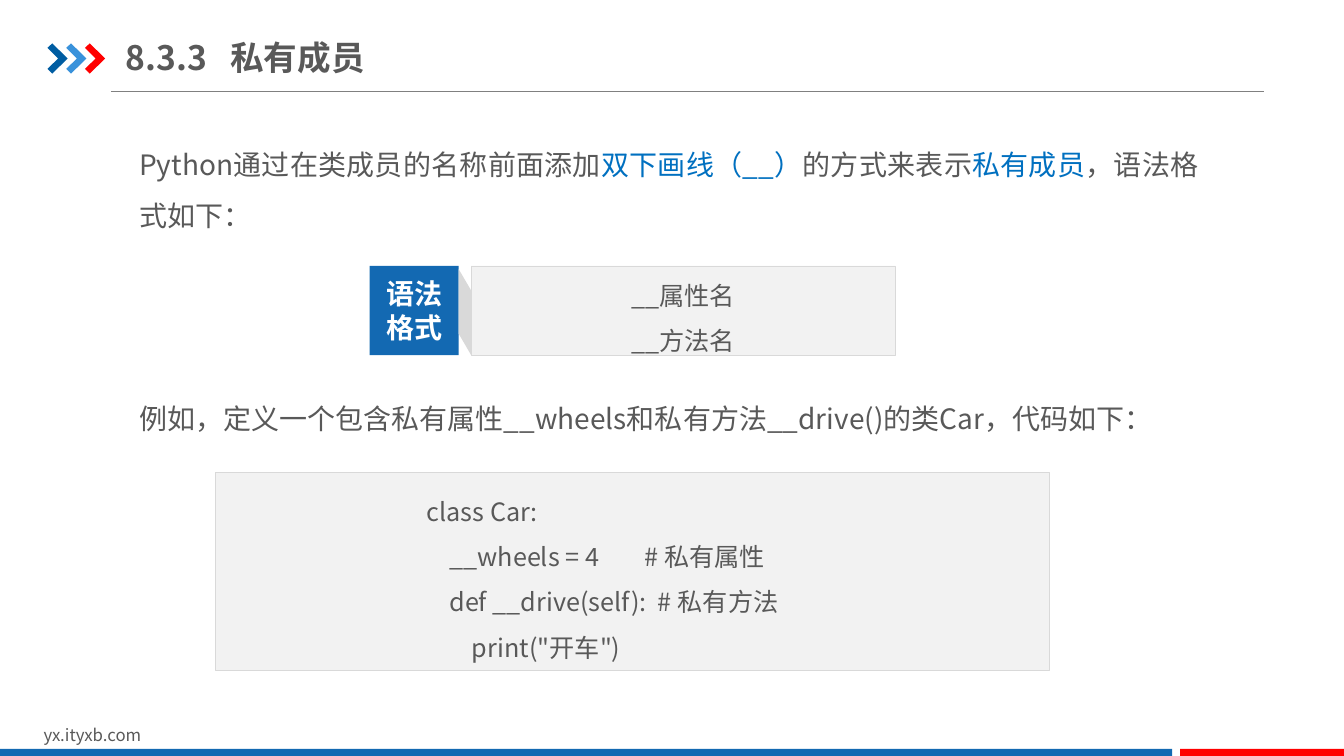
from dataclasses import dataclass

from lxml import etree
from pptx import Presentation
from pptx.dml.color import RGBColor
from pptx.enum.shapes import MSO_CONNECTOR, MSO_SHAPE
from pptx.enum.text import MSO_ANCHOR, PP_ALIGN
from pptx.oxml.ns import qn
from pptx.util import Pt

RECT, SNIPPED = MSO_SHAPE.RECTANGLE, MSO_SHAPE.SNIP_1_RECTANGLE
STRAIGHT = MSO_CONNECTOR.STRAIGHT
TOP, MIDDLE = MSO_ANCHOR.TOP, MSO_ANCHOR.MIDDLE
LEFT, CENTER, JUSTIFY = PP_ALIGN.LEFT, PP_ALIGN.CENTER, PP_ALIGN.JUSTIFY


@dataclass(frozen=True)
class Theme:
    font: str = "Noto Sans CJK SC"
    text: str = "595959"
    keyword: str = "0070C0"
    white: str = "FFFFFF"
    blue: str = "1369B2"
    red: str = "FF0000"
    dark_blue: str = "005DA2"
    light_blue: str = "3992DB"
    panel: str = "F2F2F2"
    border: str = "D9D9D9"
    rule: str = "808080"
    title_size: int = 24
    body_size: int = 20
    code_size: int = 18
    footer_size: int = 12


class SlideBuilder:
    def __init__(self, slide, theme):
        self.shapes = slide.shapes
        self.theme = theme

    def paint(self, shape, fill, border=None):
        shape.shadow.inherit = False
        shape.fill.solid()
        shape.fill.fore_color.rgb = RGBColor.from_string(fill)
        if border:
            shape.line.color.rgb = RGBColor.from_string(border)
            shape.line.width = Pt(0.25)
        else:
            shape.line.fill.background()
        return shape

    def block(self, box, fill, border=None, kind=RECT):
        shape = self.shapes.add_shape(kind, *map(Pt, box))
        return self.paint(shape, fill, border)

    def outline(self, points, fill):
        corners = [(Pt(x), Pt(y)) for x, y in points]
        builder = self.shapes.build_freeform(*corners[0])
        builder.add_line_segments(corners[1:], close=True)
        return self.paint(builder.convert_to_shape(), fill)

    def rule(self, x1, x2, y):
        line = self.shapes.add_connector(STRAIGHT, *map(Pt, (x1, y, x2, y)))
        line.line.color.rgb = RGBColor.from_string(self.theme.rule)
        line.line.width = Pt(0.75)
        etree.SubElement(line._element.spPr, qn("a:effectLst"))

    def text_box(self, box, paragraphs, size, **style):
        self.fill_text(self.shapes.add_textbox(*map(Pt, box)), paragraphs, size, **style)

    def fill_text(self, shape, paragraphs, size, color=None, bold=False, align=LEFT,
                  anchor=TOP, spacing=1.0, insets=(7.2, 3.6), indent=0, tab=None):
        """Each paragraph is a list of (text, color) runs or a plain string."""
        frame = shape.text_frame
        side, edge = map(Pt, insets)
        frame_format = {"word_wrap": True, "vertical_anchor": anchor,
                        "margin_left": side, "margin_right": side,
                        "margin_top": edge, "margin_bottom": edge}
        for name, value in frame_format.items():
            setattr(frame, name, value)
        for index, content in enumerate(paragraphs):
            paragraph = frame.add_paragraph() if index else frame.paragraphs[0]
            paragraph.alignment = align
            paragraph.line_spacing = spacing
            properties = paragraph._p.get_or_add_pPr()
            if indent:
                properties.set("marL", str(Pt(indent)))
                properties.set("indent", "0")
            if tab:
                stops = etree.SubElement(properties, qn("a:tabLst"))
                etree.SubElement(stops, qn("a:tab"), pos=str(Pt(tab)), algn="l")
            runs = [(content, color)] if isinstance(content, str) else content
            for text, run_color in runs:
                self.add_run(paragraph, text, size, run_color or self.theme.text, bold)

    def add_run(self, paragraph, text, size, color, bold):
        run = paragraph.add_run()
        run.text = text
        font_format = {"name": self.theme.font, "size": Pt(size), "bold": bold}
        for name, value in font_format.items():
            setattr(run.font, name, value)
        run.font.color.rgb = RGBColor.from_string(color)
        east_asian = etree.Element(qn("a:ea"), typeface=self.theme.font)
        run.font._element.find(qn("a:latin")).addnext(east_asian)


def main():
    presentation = Presentation()
    presentation.slide_width, presentation.slide_height = Pt(960), Pt(540)
    theme = Theme()
    page = SlideBuilder(presentation.slides.add_slide(presentation.slide_layouts[6]), theme)

    # Header: rule, three chevrons and title
    page.rule(79.2, 903, 65.5)
    chevron = [(0, 3.2), (3.5, 0), (14.4, 10.8), (3.5, 21.6), (0, 18.2), (7.7, 10.8)]
    for index, color in enumerate((theme.dark_blue, theme.light_blue, theme.red)):
        left = 33.9 + 13.4 * index
        page.outline([(left + x, 31 + y) for x, y in chevron], color)
    page.text_box((90, 21, 361.5, 39.5), ["8.3.3\t私有成员"], theme.title_size,
                  bold=True, anchor=MIDDLE, insets=(0, 5), tab=74.5)

    # Footer: address and two-colour bar
    page.text_box((24, 514, 229, 21.8), ["yx.ityxb.com"], theme.footer_size)
    page.block((0, 535, 837.3, 5), theme.blue)
    page.block((843, 535, 117, 5), theme.red)

    # Explanations
    body = {"size": theme.body_size, "align": JUSTIFY, "spacing": 1.5, "insets": (9.4, 5)}
    rule_text = [("Python通过在类成员的名称前面添加", None),
                 ("双下画线（__）", theme.keyword),
                 ("的方式来表示", None),
                 ("私有成员", theme.keyword),
                 ("，语法格式如下：", None)]
    example_text = "例如，定义一个包含私有属性__wheels和私有方法__drive()的类Car，代码如下："
    page.text_box((90, 88.6, 775.4, 73.4), [rule_text], **body)
    page.text_box((90, 270, 775.4, 51), [example_text], **body)

    # Syntax panel with its label and fold
    code = {"size": theme.code_size, "anchor": MIDDLE, "spacing": 1.5}
    syntax = page.block((336.5, 190, 303, 63.6), theme.panel, theme.border)
    page.fill_text(syntax, ["__属性名", "__方法名"], align=CENTER, **code)
    label = page.block((264, 190, 63.6, 63.6), theme.blue, kind=SNIPPED)
    label.adjustments[0] = 0
    page.fill_text(label, ["语法", "格式"], theme.body_size, theme.white, bold=True,
                   align=CENTER, anchor=MIDDLE, insets=(0, 0))
    page.outline([(336.5, 207.4), (336.5, 253.6), (327.6, 238.3), (327.6, 192.2)],
                 theme.border)

    # Example code
    example = page.block((153.8, 337.5, 595.8, 141.5), theme.panel, theme.border)
    page.fill_text(example, ["class Car:",
                             "    __wheels = 4        # 私有属性",
                             "    def __drive(self):  # 私有方法",
                             "        print(\"开车\")"], indent=144, **code)

    presentation.save("out.pptx")


if __name__ == "__main__":
    main()
